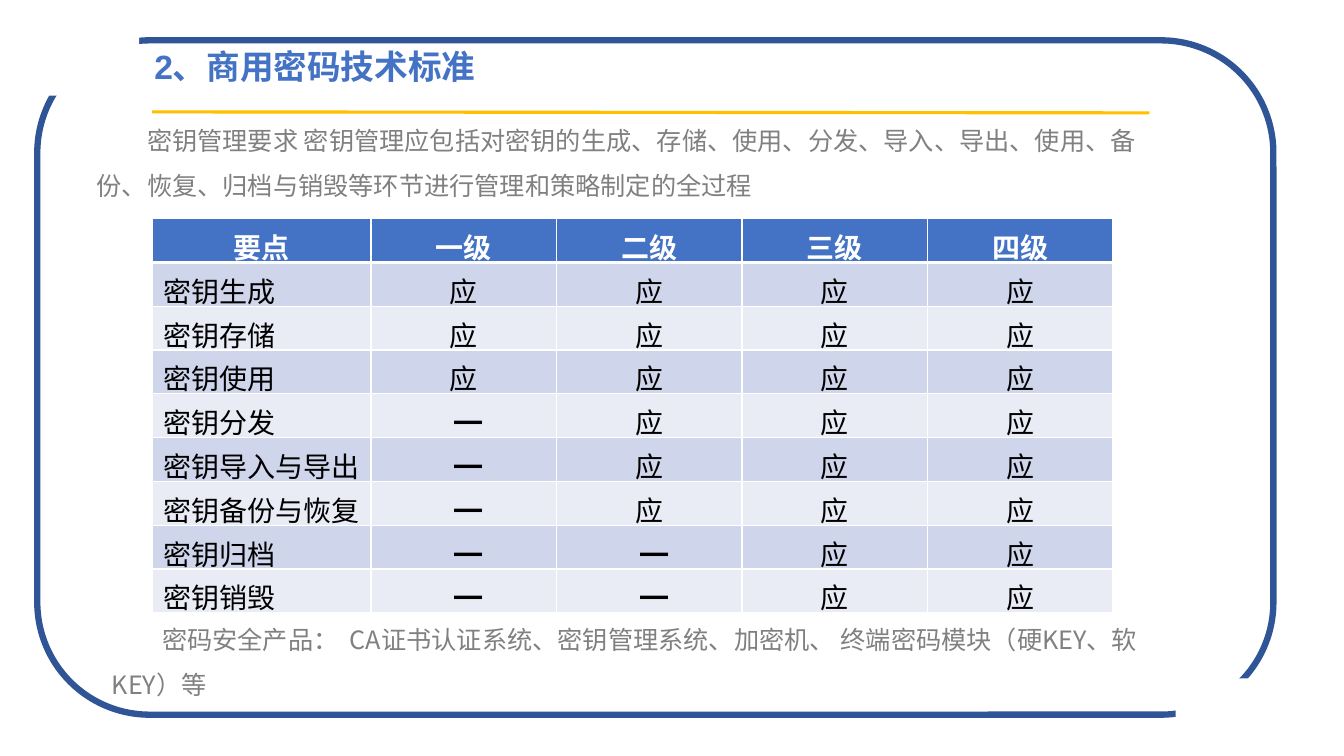
from dataclasses import dataclass
from typing import Any

from lxml import etree
from pptx import Presentation
from pptx import util as u
from pptx.dml.color import RGBColor
from pptx.enum import shapes, text
from pptx.oxml.ns import qn

PX = 9144  # 100 px to the inch
COLORS = {
    "frame": "2F5597", "title": "4472C4", "rule": "FFC000", "body": "808080",
    "header": "4472C4", "band_dark": "CFD5EA", "band_light": "E9EBF5",
    "white": "FFFFFF", "black": "000000",
}
CJK = "Noto Sans CJK SC"


@dataclass(frozen=True)
class Box:
    left: int
    top: int
    width: int
    height: int

    def emu(self) -> tuple[int, ...]:
        return tuple(v * PX for v in (self.left, self.top, self.width, self.height))


@dataclass(frozen=True)
class Passage:
    box: Box
    wording: str


FRAME = Box(37, 40, 1226, 669)
FRAME_GAPS = [Box(37, 18, 101, 77), Box(1166, 673, 101, 77)]
TITLE = Passage(Box(143, 41, 1006, 50), "2、商用密码技术标准")
PASSAGES = [
    Passage(Box(86, 104, 1062, 101),
            "密钥管理要求 密钥管理应包括对密钥的生成、存储、使用、分发、导入、导出、使用、备 "
            "份、恢复、归档与销毁等环节进行管理和策略制定的全过程"),
    Passage(Box(101, 599, 1062, 101),
            "密码安全产品：  CA证书认证系统、密钥管理系统、加密机、 终端密码模块（硬KEY、软KEY）等"),
]

# Each key stage with the first level at which it is required
LEVELS = ["一级", "二级", "三级", "四级"]
STAGES = {
    "密钥生成": 1, "密钥存储": 1, "密钥使用": 1, "密钥分发": 2,
    "密钥导入与导出": 2, "密钥备份与恢复": 2, "密钥归档": 3, "密钥销毁": 3,
}
REQUIRED, NOT_REQUIRED = "应", "━"
GRID = Box(151, 217, 953, 391)
STAGE_WIDTH, LEVEL_WIDTH = 217, 184


def rgb(name: str) -> RGBColor:
    return RGBColor.from_string(COLORS[name])


def write(frame: Any, wording: str, *, size: int, color: str, font: str = CJK,
          bold: bool = False, align: Any = text.PP_ALIGN.LEFT,
          spacing: float = 1.0, indent: int = 0) -> None:
    paragraph = frame.paragraphs[0]
    paragraph.alignment = align
    paragraph.line_spacing = spacing
    paragraph.space_before = u.Pt(0)
    if indent:
        paragraph._p.get_or_add_pPr().set("indent", str(indent * PX))
    run = paragraph.add_run()
    run.text = wording
    run.font.size = u.Pt(size)
    run.font.bold = bold
    run.font.name = font
    run.font.color.rgb = rgb(color)
    east_asian = etree.SubElement(run._r.get_or_add_rPr(), qn("a:ea"))
    east_asian.set("typeface", CJK)


def set_borders(cell: Any, widths: dict[str, int]) -> None:
    properties = cell._tc.get_or_add_tcPr()
    for position, (side, width) in enumerate(widths.items()):
        border = etree.Element(qn(f"a:ln{side}"), w=str(u.Pt(width)))
        fill = etree.SubElement(border, qn("a:solidFill"))
        etree.SubElement(fill, qn("a:srgbClr"), val=COLORS["white"])
        properties.insert(position, border)


def draw_frame(slide: Any) -> None:
    outline = slide.shapes.add_shape(shapes.MSO_SHAPE.ROUNDED_RECTANGLE, *FRAME.emu())
    outline.shadow.inherit = False
    outline.fill.background()
    outline.line.color.rgb = rgb("frame")
    outline.line.width = u.Pt(4.5)
    for gap in FRAME_GAPS:
        mask = slide.shapes.add_shape(shapes.MSO_SHAPE.RECTANGLE, *gap.emu())
        mask.shadow.inherit = False
        mask.fill.solid()
        mask.fill.fore_color.rgb = rgb("white")
        mask.line.fill.background()


def draw_title(slide: Any) -> None:
    title = slide.shapes.title
    title.left, title.top, title.width, title.height = TITLE.box.emu()
    title.text_frame.auto_size = text.MSO_AUTO_SIZE.NONE
    title.text_frame.vertical_anchor = text.MSO_ANCHOR.TOP
    write(title.text_frame, TITLE.wording, size=24, color="title", font="Arial", bold=True)
    rule = slide.shapes.add_connector(
        shapes.MSO_CONNECTOR.STRAIGHT, 151 * PX, 111 * PX, 1140 * PX, 112 * PX)
    rule.line.color.rgb = rgb("rule")
    rule.line.width = u.Pt(2.25)
    etree.SubElement(rule._element.spPr, qn("a:effectLst"))


def draw_passage(slide: Any, passage: Passage) -> None:
    frame = slide.shapes.add_textbox(*passage.box.emu()).text_frame
    frame.word_wrap = True
    write(frame, passage.wording, size=18, color="body", spacing=1.5, indent=50)


def draw_cell(cell: Any, wording: str, row: int, column: int) -> None:
    is_header, is_stage = row == 0, row > 0 and column == 0
    cell.margin_left = cell.margin_right = cell.margin_bottom = 0
    cell.margin_top = 8 * PX
    if is_stage:
        cell.margin_left = 11 * PX
    elif wording == NOT_REQUIRED:
        cell.margin_left = 10 * PX
    cell.fill.solid()
    band = "band_dark" if row % 2 else "band_light"
    cell.fill.fore_color.rgb = rgb("header" if is_header else band)
    set_borders(cell, {"L": 1, "R": 1, "T": 3 if row == 1 else 1, "B": 3 if is_header else 1})
    write(cell.text_frame, wording, size=20, bold=is_header, spacing=0.98,
          color="white" if is_header else "black",
          align=text.PP_ALIGN.LEFT if is_stage else text.PP_ALIGN.CENTER)


def draw_table(slide: Any) -> None:
    rows = [["要点", *LEVELS]]
    for stage, first_level in STAGES.items():
        rows.append([stage] + [REQUIRED if level >= first_level else NOT_REQUIRED
                               for level in range(1, len(LEVELS) + 1)])
    table = slide.shapes.add_table(len(rows), len(rows[0]), *GRID.emu()).table
    for index, column in enumerate(table.columns):
        column.width = (LEVEL_WIDTH if index else STAGE_WIDTH) * PX
    for row, wordings in enumerate(rows):
        for column, wording in enumerate(wordings):
            draw_cell(table.cell(row, column), wording, row, column)


def main() -> None:
    deck = Presentation()
    deck.slide_width, deck.slide_height = 1333 * PX, 750 * PX
    slide = deck.slides.add_slide(deck.slide_layouts[5])
    draw_frame(slide)
    draw_title(slide)
    for passage in PASSAGES:
        draw_passage(slide, passage)
    draw_table(slide)
    deck.save("out.pptx")


if __name__ == "__main__":
    main()
